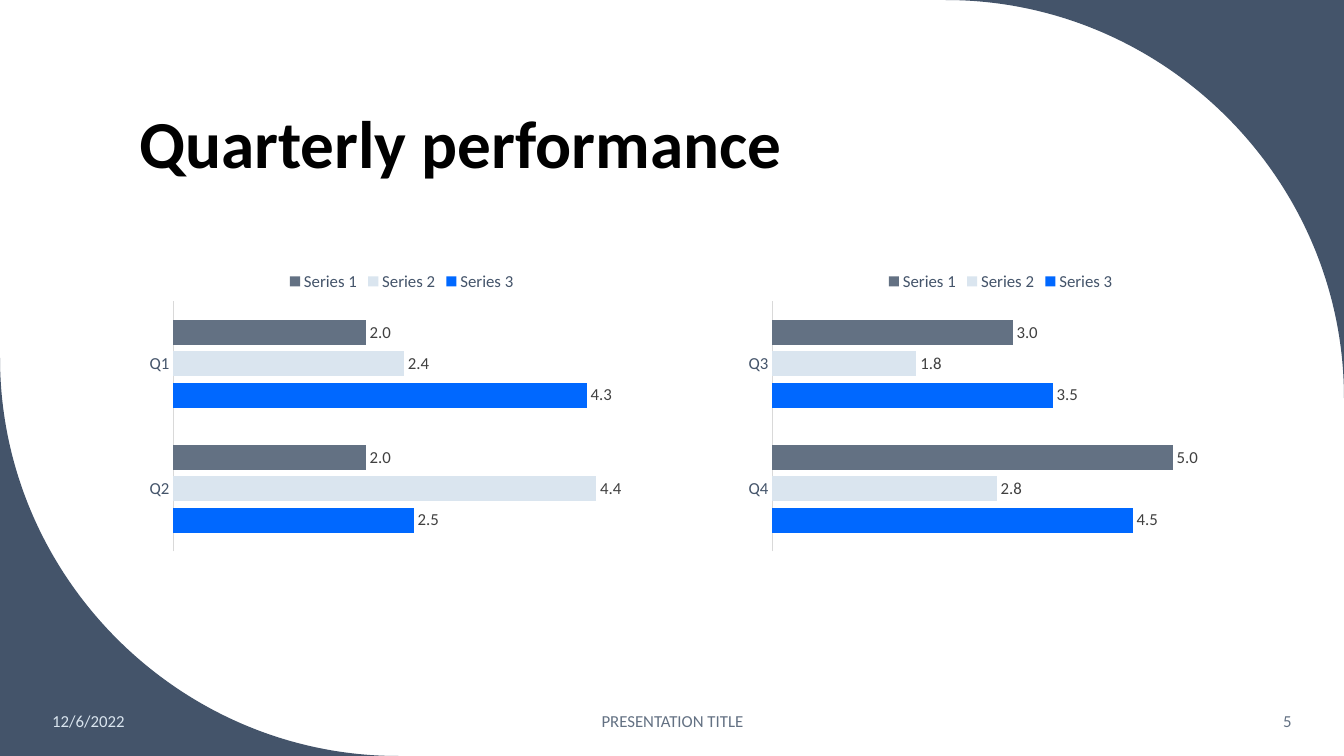
from dataclasses import dataclass

from lxml.etree import SubElement
from pptx import Presentation
from pptx.chart.data import CategoryChartData
from pptx.dml.color import RGBColor
from pptx.enum.chart import (XL_CHART_TYPE, XL_LABEL_POSITION, XL_LEGEND_POSITION,
                             XL_TICK_LABEL_POSITION, XL_TICK_MARK)
from pptx.enum.text import MSO_ANCHOR, PP_ALIGN
from pptx.oxml.ns import qn
from pptx.util import Pt

PX = 9144  # EMU per px, 100 px to the inch
WIDTH, HEIGHT = 1333, 750
CORNER = 395  # radius of the curved corners
CURVE = 0.55  # pull of a quarter circle towards its corner


@dataclass(frozen=True)
class Theme:
    font: str = "Calibri"
    title_size: int = 48
    small_size: int = 12
    chart_size: int = 10
    ink: str = "000000"
    navy: str = "44546A"
    slate: str = "637183"
    pale: str = "DAE5EF"
    blue: str = "0068FF"
    label: str = "404040"
    axis: str = "D9D9D9"


THEME = Theme()
SERIES_COLORS = {"Series 3": THEME.blue, "Series 2": THEME.pale, "Series 1": THEME.slate}


def color(code):
    return RGBColor.from_string(code)


def place(left, top, width, height):
    return [length * PX for length in (left, top, width, height)]


def style_font(font, size, code, bold=False):
    font.name = THEME.font
    font.size = Pt(size)
    font.bold = bold
    font.color.rgb = color(code)


def write(box, text, size=THEME.small_size, code=THEME.slate, bold=False,
          align=PP_ALIGN.LEFT, anchor=MSO_ANCHOR.MIDDLE, spacing=1.0):
    frame = box.text_frame
    frame.word_wrap = True
    frame.vertical_anchor = anchor
    para = frame.paragraphs[0]
    para.alignment = align
    para.line_spacing = spacing
    span = para.add_run()
    span.text = text
    style_font(span.font, size, code, bold)


def bend_last_side(shape):
    """Turn the side facing the first point into a quarter circle."""
    corner, start, end = [(int(point.get("x")), int(point.get("y")))
                          for point in shape._element.iter(qn("a:pt"))]
    side = list(shape._element.iter(qn("a:lnTo")))[1]
    side.tag = qn("a:cubicBezTo")
    side.clear()
    pulled = [tuple(round(a + CURVE * (c - a)) for a, c in zip(point, corner))
              for point in (start, end)]
    for x, y in (*pulled, end):
        SubElement(side, qn("a:pt"), x=str(x), y=str(y))


def add_corner(page, corner, start, end):
    """Fill the area between a slide corner and a quarter circle."""
    builder = page.shapes.build_freeform(*corner, scale=PX)
    builder.add_line_segments([start, end], close=True)
    shape = builder.convert_to_shape()
    bend_last_side(shape)
    shape.shadow.inherit = False
    shape.fill.solid()
    shape.fill.fore_color.rgb = color(THEME.navy)
    shape.line.fill.background()


def add_bar_chart(page, left, categories, values, maximum):
    data = CategoryChartData(number_format="General")
    data.categories = categories
    for name, numbers in values.items():
        data.add_series(name, numbers)
    chart = page.shapes.add_chart(XL_CHART_TYPE.BAR_CLUSTERED,
                                  *place(left, 258, 521, 295), data).chart
    style_font(chart.font, THEME.chart_size, THEME.ink)
    chart.has_title = False

    # Legend
    chart.has_legend = True
    chart.legend.position = XL_LEGEND_POSITION.TOP
    chart.legend.include_in_layout = False
    style_font(chart.legend.font, THEME.small_size, THEME.navy)

    # Axes
    axis = chart.category_axis
    axis.major_tick_mark = axis.minor_tick_mark = XL_TICK_MARK.NONE
    axis.tick_label_position = XL_TICK_LABEL_POSITION.NEXT_TO_AXIS
    axis.format.line.color.rgb = color(THEME.axis)
    axis.format.line.width = Pt(0.75)
    style_font(axis.tick_labels.font, THEME.small_size, THEME.navy)
    chart.value_axis.visible = False
    chart.value_axis.has_major_gridlines = False
    chart.value_axis.minimum_scale = 0
    chart.value_axis.maximum_scale = maximum

    # Bars and their values
    plot = chart.plots[0]
    plot.gap_width = 150
    plot.overlap = -25
    plot.vary_by_categories = False
    for series in plot.series:
        series.format.fill.solid()
        series.format.fill.fore_color.rgb = color(SERIES_COLORS[series.name])
        labels = series.data_labels
        labels.show_value = True
        labels.position = XL_LABEL_POSITION.OUTSIDE_END
        if series.name == "Series 1":
            labels.number_format = "#,##0.0"
            labels.number_format_is_linked = False
        style_font(labels.font, THEME.small_size, THEME.label)


def add_footer(page, left, width, text, **text_format):
    box = page.shapes.add_textbox(*place(left, 695, width, 40))
    write(box, text, **text_format)


def main():
    deck = Presentation()
    deck.slide_width, deck.slide_height = WIDTH * PX, HEIGHT * PX
    page = deck.slides.add_slide(deck.slide_layouts[5])

    # Curved corners: top right and bottom left
    add_corner(page, (WIDTH, 0), (WIDTH - CORNER, 0), (WIDTH, CORNER))
    add_corner(page, (0, HEIGHT), (CORNER, HEIGHT), (0, HEIGHT - CORNER))

    # Title
    title = page.shapes.title
    title.left, title.top, title.width, title.height = place(128, 42, 1069, 145)
    write(title, "Quarterly performance", size=THEME.title_size, code=THEME.ink,
          bold=True, anchor=MSO_ANCHOR.BOTTOM, spacing=0.9)

    # Charts, listed from the bottom bar upwards
    add_bar_chart(page, 138, ["Q2", "Q1"], {
        "Series 3": (2.5, 4.3), "Series 2": (4.4, 2.4), "Series 1": (2, 2)}, maximum=5)
    add_bar_chart(page, 732, ["Q4", "Q3"], {
        "Series 3": (4.5, 3.5), "Series 2": (2.8, 1.8), "Series 1": (5, 3)}, maximum=6)

    # Footer
    add_footer(page, 42, 186, "12/6/2022", code=THEME.pale)
    add_footer(page, 442, 450, "PRESENTATION TITLE", align=PP_ALIGN.CENTER)
    add_footer(page, 1110, 181, "5", align=PP_ALIGN.RIGHT)

    deck.save("out.pptx")


if __name__ == "__main__":
    main()
